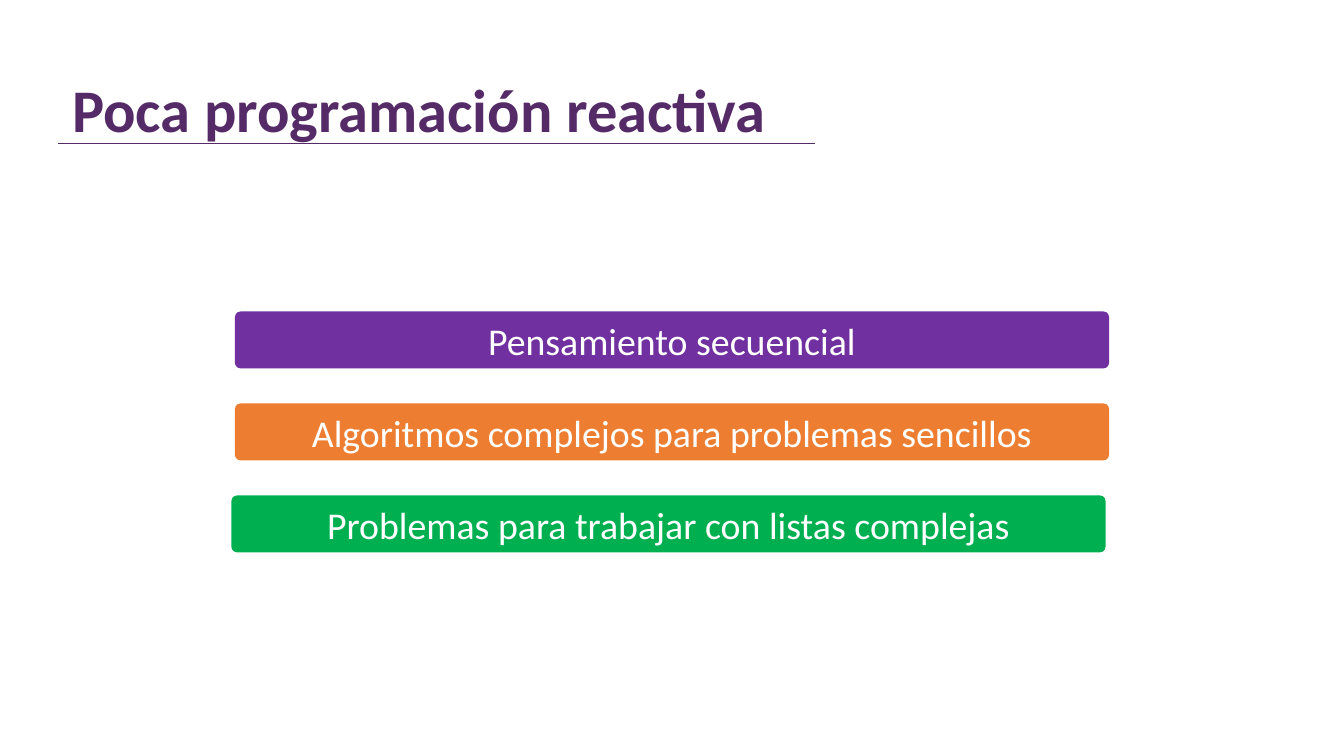
"""Build a slide with an underlined title and three coloured bars."""
import pptx
import pptx.dml.color
import pptx.enum.shapes
import pptx.enum.text
import pptx.oxml
import pptx.util

RGB = pptx.dml.color.RGBColor
PLUM = RGB(0x55, 0x2B, 0x67)
PURPLE = RGB(0x70, 0x30, 0xA0)
ORANGE = RGB(0xED, 0x7D, 0x31)
GREEN = RGB(0x00, 0xB0, 0x50)
WHITE = RGB(0xFF, 0xFF, 0xFF)

TITLE = "Poca programación reactiva"
BARS = [
    ("Pensamiento secuencial", PURPLE, 4.66),
    ("Algoritmos complejos para problemas sencillos", ORANGE, 4.66),
    ("Problemas para trabajar con listas complejas", GREEN, 4.59),
]
TOP, STEP, WIDTH, HEIGHT = 6.18, 1.825, 17.34, 1.13

inch = pptx.util.Inches
ANCHOR = pptx.enum.text.MSO_ANCHOR
ALIGN = pptx.enum.text.PP_ALIGN


def write(shape, text, size, color, anchor, align, bold=False):
    frame = shape.text_frame
    frame.text = text
    frame.word_wrap = True
    frame.vertical_anchor = anchor
    line = frame.paragraphs[0]
    line.alignment = align
    font = line.runs[0].font
    font.name = "Calibri"
    font.size = pptx.util.Pt(size)
    font.bold = bold
    font.color.rgb = color
    return line


def add_title(slide):
    rule = slide.shapes.add_connector(
        pptx.enum.shapes.MSO_CONNECTOR.STRAIGHT,
        inch(1.16), inch(2.84), inch(16.16), inch(2.84))
    rule.line.color.rgb = PLUM
    rule.line.width = pptx.util.Pt(0.5)
    props = rule._element.spPr
    props.append(pptx.oxml.parse_xml(
        '<a:effectLst xmlns:a="http://schemas.openxmlformats.org/drawingml/2006/main"/>'))
    box = slide.shapes.add_textbox(inch(1.33), inch(1.41), inch(18.89), inch(1.53))
    line = write(box, TITLE, 86.4, PLUM, ANCHOR.BOTTOM, ALIGN.LEFT, True)
    line.line_spacing = 0.9


def add_bar(slide, row, text, color, left):
    bar = slide.shapes.add_shape(
        pptx.enum.shapes.MSO_SHAPE.ROUNDED_RECTANGLE,
        inch(left), inch(TOP + row * STEP), inch(WIDTH), inch(HEIGHT))
    bar.adjustments[0] = 0.1
    bar.shadow.inherit = False
    bar.fill.solid()
    bar.fill.fore_color.rgb = color
    bar.line.fill.background()
    write(bar, text, 54, WHITE, ANCHOR.MIDDLE, ALIGN.CENTER)


def main():
    deck = pptx.Presentation()
    deck.slide_width, deck.slide_height = inch(26.66), inch(15)
    slide = deck.slides.add_slide(deck.slide_layouts[6])
    add_title(slide)
    for row, (text, color, left) in enumerate(BARS):
        add_bar(slide, row, text, color, left)
    deck.save("out.pptx")


if __name__ == "__main__":
    main()
